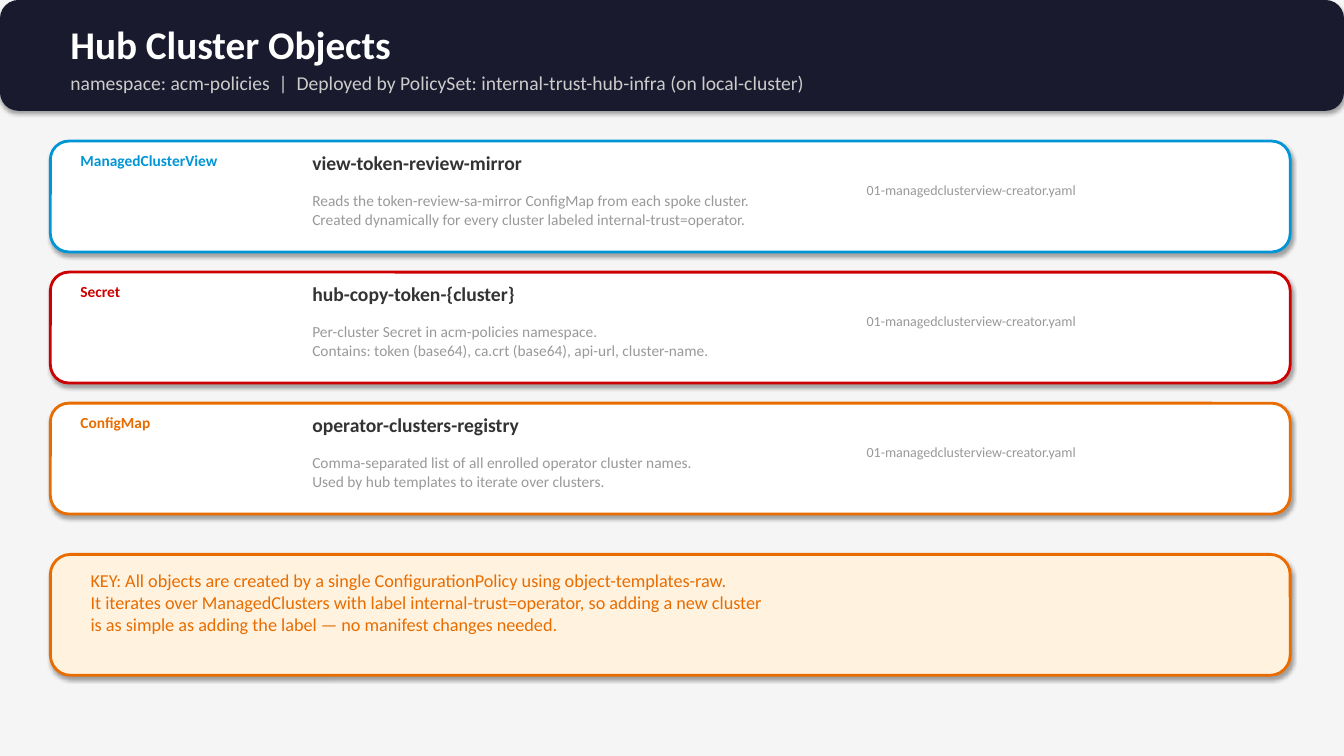
import pptx
import pptx.dml.color
import pptx.enum.shapes
import pptx.enum.text
import pptx.oxml
import pptx.oxml.ns
import pptx.util
from dataclasses import dataclass

Pt = pptx.util.Pt


@dataclass(frozen=True)
class Theme:
    font: str = "Calibri"
    background: str = "F5F5F5"
    navy: str = "1A1A2E"
    white: str = "FFFFFF"
    subtitle: str = "CCCCCC"
    ink: str = "333333"
    muted: str = "999999"
    blue: str = "0096D6"
    red: str = "CC0000"
    orange: str = "E86C00"
    cream: str = "FFF3E0"
    title_size: int = 28
    heading_size: int = 14
    key_size: int = 13
    body_size: int = 11
    file_size: int = 10
    border: int = 2


def rgb(value):
    return pptx.dml.color.RGBColor.from_string(value)


class SlideBuilder:
    """Holds the theme and the slide being drawn."""

    def __init__(self, deck, theme):
        self.theme = theme
        self.page = deck.slides.add_slide(deck.slide_layouts[6])
        background = self.page.background.fill
        background.solid()
        background.fore_color.rgb = rgb(theme.background)

    def panel(self, left, top, width, height, fill, line=None):
        box = self.page.shapes.add_shape(
            pptx.enum.shapes.MSO_SHAPE.ROUNDED_RECTANGLE,
            Pt(left), Pt(top), Pt(width), Pt(height))
        box.fill.solid()
        box.fill.fore_color.rgb = rgb(fill)
        if line:
            box.line.color.rgb = rgb(line)
            box.line.width = Pt(self.theme.border)
        else:
            box.line.fill.background()
        self.soft_shadow(box)

    def soft_shadow(self, box):
        box.shadow.inherit = False
        effects = box.element.spPr.find(pptx.oxml.ns.qn("a:effectLst"))
        effects.append(pptx.oxml.parse_xml(
            f'<a:outerShdw {pptx.oxml.ns.nsdecls("a")} blurRad="40000" '
            'dist="23000" dir="5400000" rotWithShape="0">'
            '<a:srgbClr val="000000"><a:alpha val="35000"/></a:srgbClr>'
            '</a:outerShdw>'))

    def text(self, left, top, width, height, lines, size, color, bold=False):
        box = self.page.shapes.add_textbox(Pt(left), Pt(top), Pt(width), Pt(height))
        frame = box.text_frame
        frame.word_wrap = True
        frame.auto_size = pptx.enum.text.MSO_AUTO_SIZE.SHAPE_TO_FIT_TEXT
        para = frame.paragraphs[0]
        for index, line in enumerate(lines):
            if index:
                para.add_line_break()
            span = para.add_run()
            span.text = line
            span.font.name = self.theme.font
            span.font.size = Pt(size)
            span.font.bold = bold
            span.font.color.rgb = rgb(color)

    def object_card(self, top, kind, name, details, file_name, accent):
        theme = self.theme
        self.panel(36, top, 885.6, 79.2, theme.white, accent)
        self.text(50.4, top + 3.6, 158.4, 20, [kind], theme.body_size, accent, True)
        self.text(216, top + 3.6, 288, 24, [name], theme.heading_size, theme.ink, True)
        self.text(216, top + 32.4, 396, 34, details, theme.body_size, theme.muted)
        self.text(612, top + 25.2, 288, 19.5, [file_name], theme.file_size, theme.muted)


def main():
    theme = Theme()
    deck = pptx.Presentation()
    deck.slide_width, deck.slide_height = Pt(960), Pt(540)
    slide = SlideBuilder(deck, theme)

    # Header band
    slide.panel(0, 0, 960, 79.2, theme.navy)
    slide.text(43.2, 10.8, 720, 41, ["Hub Cluster Objects"],
               theme.title_size, theme.white, True)
    slide.text(43.2, 46.8, 720, 24,
               ["namespace: acm-policies  |  Deployed by PolicySet: "
                "internal-trust-hub-infra (on local-cluster)"],
               theme.heading_size, theme.subtitle)

    # One card per hub object
    manifest = "01-managedclusterview-creator.yaml"
    hub_objects = [
        ("ManagedClusterView", "view-token-review-mirror",
         ["Reads the token-review-sa-mirror ConfigMap from each spoke cluster.",
          "Created dynamically for every cluster labeled internal-trust=operator."],
         theme.blue),
        ("Secret", "hub-copy-token-{cluster}",
         ["Per-cluster Secret in acm-policies namespace.",
          "Contains: token (base64), ca.crt (base64), api-url, cluster-name."],
         theme.red),
        ("ConfigMap", "operator-clusters-registry",
         ["Comma-separated list of all enrolled operator cluster names.",
          "Used by hub templates to iterate over clusters."],
         theme.orange),
    ]
    first_top, pitch = 100.8, 93.6
    for row, (kind, name, details, accent) in enumerate(hub_objects):
        slide.object_card(first_top + row * pitch, kind, name, details, manifest, accent)

    # Key takeaway
    slide.panel(36, 396, 885.6, 86.4, theme.cream, theme.orange)
    slide.text(57.6, 403.2, 842.4, 54,
               ["KEY: All objects are created by a single ConfigurationPolicy "
                "using object-templates-raw.",
                "It iterates over ManagedClusters with label "
                "internal-trust=operator, so adding a new cluster",
                "is as simple as adding the label — no manifest changes needed."],
               theme.key_size, theme.orange)

    deck.save("out.pptx")


if __name__ == "__main__":
    main()
